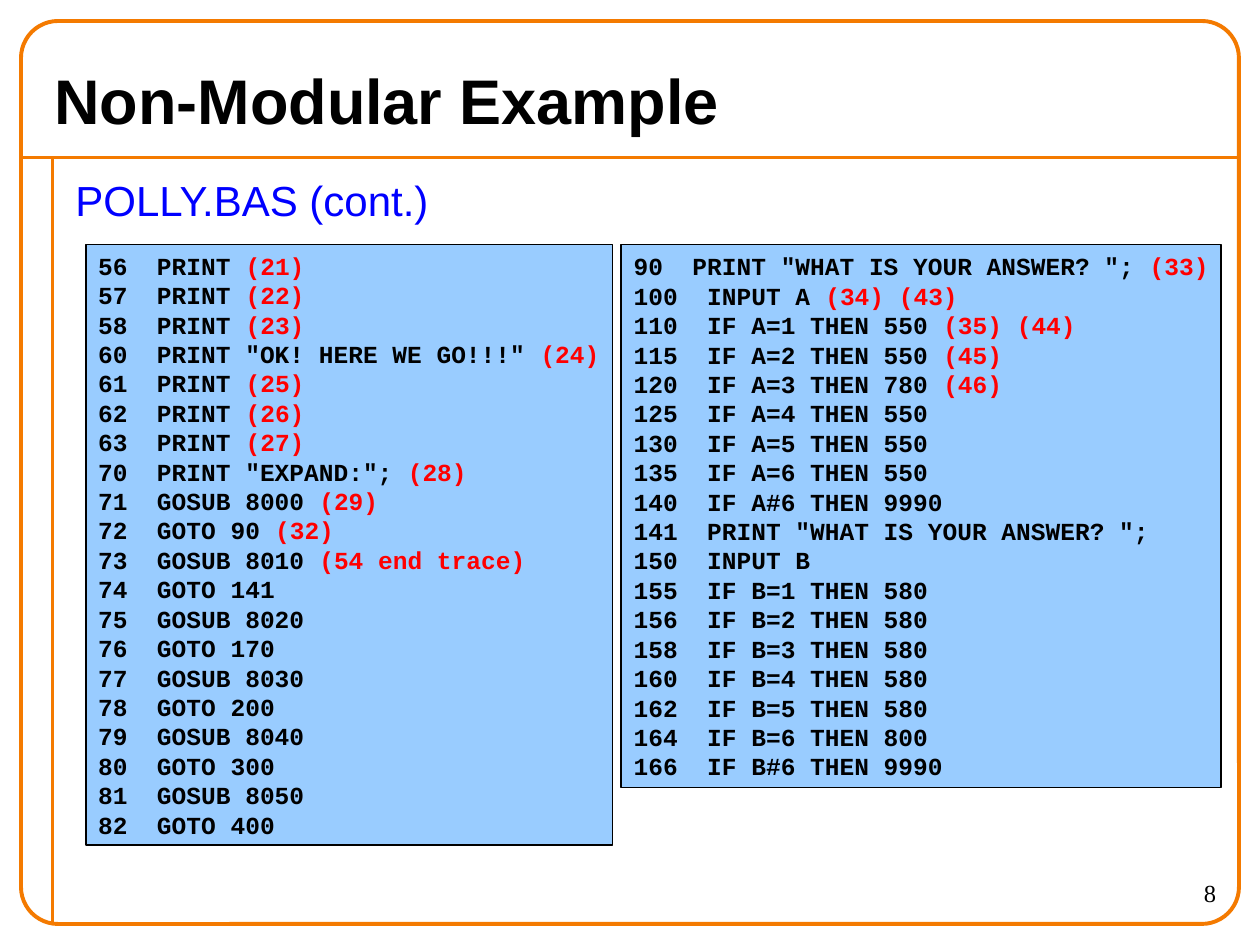
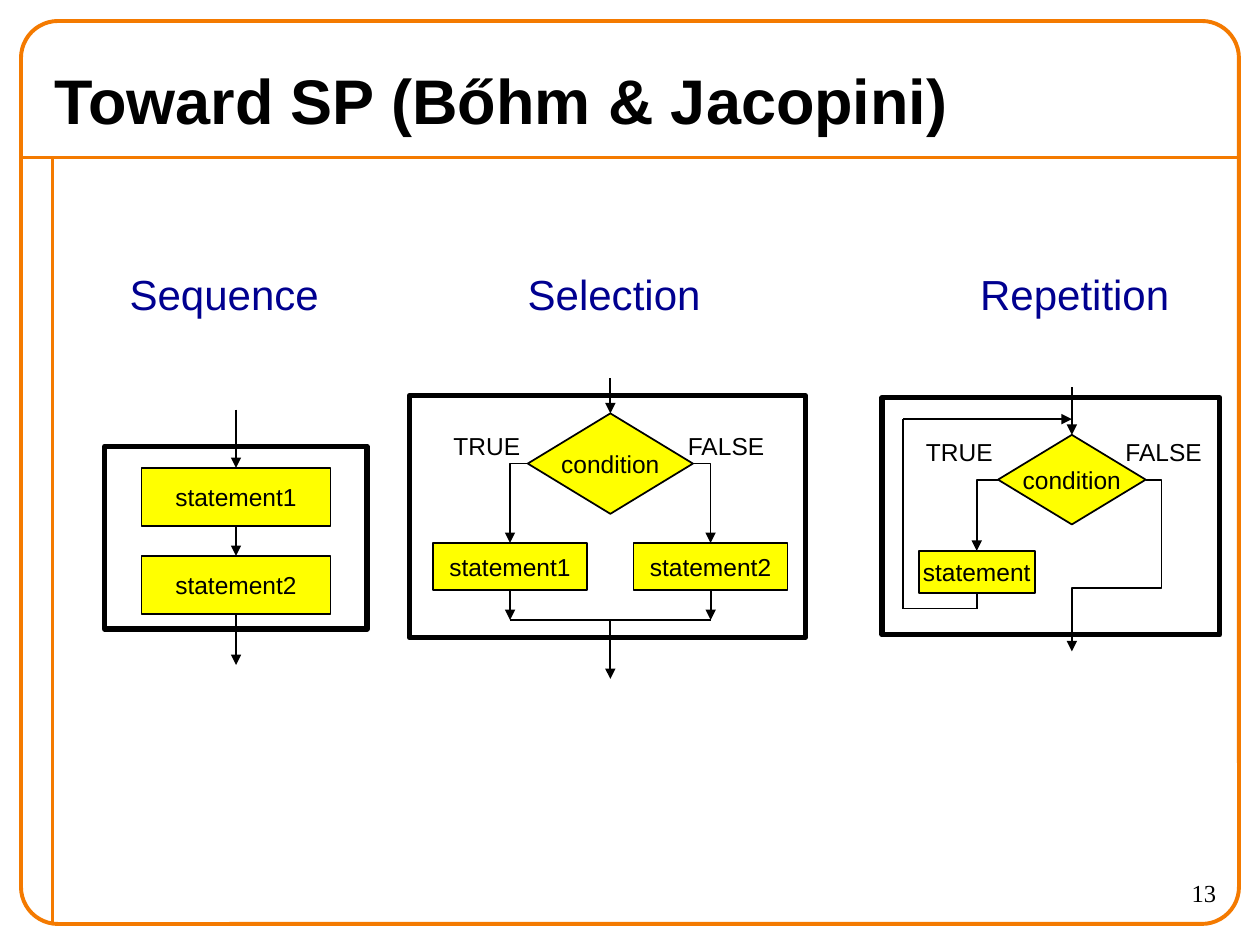
from lxml import etree
from pptx import Presentation
from pptx.dml.color import RGBColor
from pptx.enum.shapes import MSO_CONNECTOR, MSO_SHAPE
from pptx.enum.text import MSO_ANCHOR, PP_ALIGN
from pptx.oxml.ns import qn
from pptx.util import Pt

RECTANGLE, DIAMOND = MSO_SHAPE.RECTANGLE, MSO_SHAPE.DIAMOND
ROUNDED = MSO_SHAPE.ROUNDED_RECTANGLE
STRAIGHT, ELBOW = MSO_CONNECTOR.STRAIGHT, MSO_CONNECTOR.ELBOW
LEFT, CENTER, RIGHT = PP_ALIGN.LEFT, PP_ALIGN.CENTER, PP_ALIGN.RIGHT
TOP, MIDDLE = MSO_ANCHOR.TOP, MSO_ANCHOR.MIDDLE

# Content
CODE_TITLE, CODE_SUBTITLE, CODE_PAGE = "Non-Modular Example", "POLLY.BAS (cont.)", "8"
LEFT_CODE = [
    "56  PRINT (21)",
    "57  PRINT (22)",
    "58  PRINT (23)",
    '60  PRINT "OK! HERE WE GO!!!" (24)',
    "61  PRINT (25)",
    "62  PRINT (26)",
    "63  PRINT (27)",
    '70  PRINT "EXPAND:"; (28)',
    "71  GOSUB 8000 (29)",
    "72  GOTO 90 (32)",
    "73  GOSUB 8010 (54 end trace)",
    "74  GOTO 141",
    "75  GOSUB 8020",
    "76  GOTO 170",
    "77  GOSUB 8030",
    "78  GOTO 200",
    "79  GOSUB 8040",
    "80  GOTO 300",
    "81  GOSUB 8050",
    "82  GOTO 400",
]
RIGHT_CODE = [
    '90  PRINT "WHAT IS YOUR ANSWER? "; (33)',
    "100  INPUT A (34) (43)",
    "110  IF A=1 THEN 550 (35) (44)",
    "115  IF A=2 THEN 550 (45)",
    "120  IF A=3 THEN 780 (46)",
    "125  IF A=4 THEN 550",
    "130  IF A=5 THEN 550",
    "135  IF A=6 THEN 550",
    "140  IF A#6 THEN 9990",
    '141  PRINT "WHAT IS YOUR ANSWER? ";',
    "150  INPUT B",
    "155  IF B=1 THEN 580",
    "156  IF B=2 THEN 580",
    "158  IF B=3 THEN 580",
    "160  IF B=4 THEN 580",
    "162  IF B=5 THEN 580",
    "164  IF B=6 THEN 800",
    "166  IF B#6 THEN 9990",
]
LISTINGS = [(LEFT_CODE, (49, 139.7, 301, 343.4)), (RIGHT_CODE, (355, 139.7, 342.7, 310.3))]

FLOW_TITLE, FLOW_PAGE = "Toward SP (Bőhm & Jacopini)", "13"
HEADINGS = [("Sequence", 67, 122.4), ("Selection", 294.5, 113), ("Repetition", 553, 122.4)]

# Shared look
COLORS = {
    "frame": "F47A00", "black": "000000", "subtitle": "0000FF", "heading": "000090",
    "code_fill": "99CCFF", "trace": "FF0000", "node_fill": "FFFF00",
}
FONTS = {
    "title": {"name": "Arial", "size": Pt(36), "bold": True},
    "heading": {"name": "Arial", "size": Pt(24), "bold": False},
    "label": {"name": "Arial", "size": Pt(14), "bold": False},
    "page": {"name": "Times New Roman", "size": Pt(14), "bold": False},
    "code": {"name": "Courier New", "size": Pt(14), "bold": True},
}


def rgb(name):
    return RGBColor.from_string(COLORS[name])


def add_run(paragraph, text, style, color):
    run = paragraph.add_run()
    run.text = text
    for attribute, value in FONTS[style].items():
        setattr(run.font, attribute, value)
    run.font.color.rgb = rgb(color)


def set_frame(shape, anchor, wrap):
    text_frame = shape.text_frame
    text_frame.word_wrap = wrap
    text_frame.vertical_anchor = anchor
    return text_frame


def add_text(slide, text, box, style, color="black", align=LEFT, anchor=TOP, wrap=True):
    shape = slide.shapes.add_textbox(*map(Pt, box))
    paragraph = set_frame(shape, anchor, wrap).paragraphs[0]
    paragraph.alignment = align
    add_run(paragraph, text, style, color)


def add_box(slide, kind, box, fill=None, line="black", width=1):
    shape = slide.shapes.add_shape(kind, *map(Pt, box))
    shape.shadow.inherit = False
    if fill:
        shape.fill.solid()
        shape.fill.fore_color.rgb = rgb(fill)
    else:
        shape.fill.background()
    shape.line.color.rgb = rgb(line)
    shape.line.width = Pt(width)
    return shape


def add_line(slide, start, end, arrow=True, color="black", width=1, bend=None, adjust=()):
    """Draw a line; bend names an elbow preset, adjust holds its handle values."""
    kind = ELBOW if bend else STRAIGHT
    line = slide.shapes.add_connector(kind, *map(Pt, (*start, *end)))
    line.line.color.rgb = rgb(color)
    line.line.width = Pt(width)
    properties = line._element.spPr
    if arrow:
        etree.SubElement(properties.find(qn("a:ln")), qn("a:tailEnd"), type="triangle")
    etree.SubElement(properties, qn("a:effectLst"))
    if bend:
        geometry = properties.find(qn("a:prstGeom"))
        geometry.set("prst", bend)
        handles = geometry.find(qn("a:avLst"))
        for number, value in enumerate(adjust, 1):
            etree.SubElement(handles, qn("a:gd"), name=f"adj{number}",
                             fmla=f"val {round(value * 100000)}")


def add_node(slide, text, center, top, width, height, kind=RECTANGLE):
    """Draw a flowchart node centred on the given x."""
    shape = add_box(slide, kind, (center - width / 2, top, width, height), "node_fill")
    paragraph = set_frame(shape, MIDDLE, False).paragraphs[0]
    paragraph.alignment = CENTER
    add_run(paragraph, text, "label", "black")


def add_condition(slide, axis, top, width, height, labels):
    """Draw a condition with its branch labels; return its left and right corners."""
    add_node(slide, "condition", axis, top, width, height, DIAMOND)
    for text, box in zip(("TRUE", "FALSE"), labels):
        add_text(slide, text, box, "label")
    middle = top + height / 2
    return (axis - width / 2, middle), (axis + width / 2, middle)


def new_slide(presentation, title, page):
    slide = presentation.slides.add_slide(presentation.slide_layouts[6])
    for start, end in [((12, 90), (708, 90)), ((30, 90), (30, 528))]:
        add_line(slide, start, end, arrow=False, color="frame", width=2.25)
    border = add_box(slide, ROUNDED, (12, 12, 696, 516), line="frame", width=2.25)
    border.adjustments[0] = 0.041
    add_text(slide, title, (24, 30, 672, 54), "title", anchor=MIDDLE)
    add_text(slide, page, (630, 498, 72, 30), "page", align=RIGHT)
    return slide


def add_listing(slide, lines, box):
    shape = add_box(slide, RECTANGLE, box, "code_fill")
    text_frame = set_frame(shape, MIDDLE, False)
    for index, line in enumerate(lines):
        paragraph = text_frame.add_paragraph() if index else text_frame.paragraphs[0]
        paragraph.alignment = LEFT
        code, mark, trace = line.partition("(")
        add_run(paragraph, code, "code", "black")
        if mark:
            add_run(paragraph, mark + trace, "code", "trace")


def draw_sequence(slide):
    axis, first, step, height = 134.9, 267.4, 50.3, 33.4
    second = first + step
    add_box(slide, RECTANGLE, (59.8, 255.1, 150, 104.4), width=3)
    add_node(slide, "statement1", axis, first, 108, height)
    add_node(slide, "statement2", axis, second, 108, height)
    stops = [(234, first), (first + height, second), (second + height, 380)]
    for start, end in stops:
        add_line(slide, (axis, start), (axis, end))


def draw_selection(slide):
    axis, spread, top, height, join = 348.8, 57.3, 310.3, 26.9, 354.3
    add_box(slide, RECTANGLE, (234, 226, 226.2, 138.3), width=3)
    labels = [(252, 242.6, 60, 24.5), (386, 242.6, 64, 24.5)]
    corners = add_condition(slide, axis, 236.2, 94.4, 57.4, labels)
    branches = [("statement1", axis - spread), ("statement2", axis + spread)]
    for (text, center), corner in zip(branches, corners):
        add_node(slide, text, center, top, 88, height)
        add_line(slide, corner, (center, top), bend="bentConnector2")
        add_line(slide, (center, top + height), (center, join))
    add_line(slide, (axis - spread, join), (axis + spread, join), arrow=False)
    add_line(slide, (axis, 216), (axis, 236.2))
    add_line(slide, (axis, join), (axis, 388))


def draw_repetition(slide):
    axis, body, top, height = 612.5, 558.2, 314.8, 24.3
    add_box(slide, RECTANGLE, (504, 227.3, 193, 135.5), width=3)
    labels = [(522, 246.2, 57, 24.5), (636, 246.2, 66, 24.5)]
    true_corner, false_corner = add_condition(slide, axis, 248.5, 84.4, 51.2, labels)
    add_node(slide, "statement", body, top, 66.4, height)
    add_line(slide, true_corner, (body, top), bend="bentConnector2")
    add_line(slide, false_corner, (axis, 372.2), bend="bentConnector4", adjust=(-0.214, 0.631))
    add_line(slide, (axis, 221.3), (axis, 248.5))
    # Way back from the statement to the entry
    back = [(body, top + height), (body, 347.8), (516, 347.8), (516, 239.5), (axis, 239.5)]
    for start, end in zip(back, back[1:]):
        add_line(slide, start, end, arrow=end == back[-1])


def main():
    presentation = Presentation()
    presentation.slide_width, presentation.slide_height = Pt(720), Pt(540)

    # Code listing slide
    slide = new_slide(presentation, CODE_TITLE, CODE_PAGE)
    add_text(slide, CODE_SUBTITLE, (36, 96, 666, 40), "heading", "subtitle")
    for lines, box in LISTINGS:
        add_listing(slide, lines, box)

    # Flowchart slide
    slide = new_slide(presentation, FLOW_TITLE, FLOW_PAGE)
    for draw in (draw_sequence, draw_selection, draw_repetition):
        draw(slide)
    for text, left, width in HEADINGS:
        add_text(slide, text, (left, 150, width, 36), "heading", "heading", wrap=False)

    presentation.save("out.pptx")


if __name__ == "__main__":
    main()
